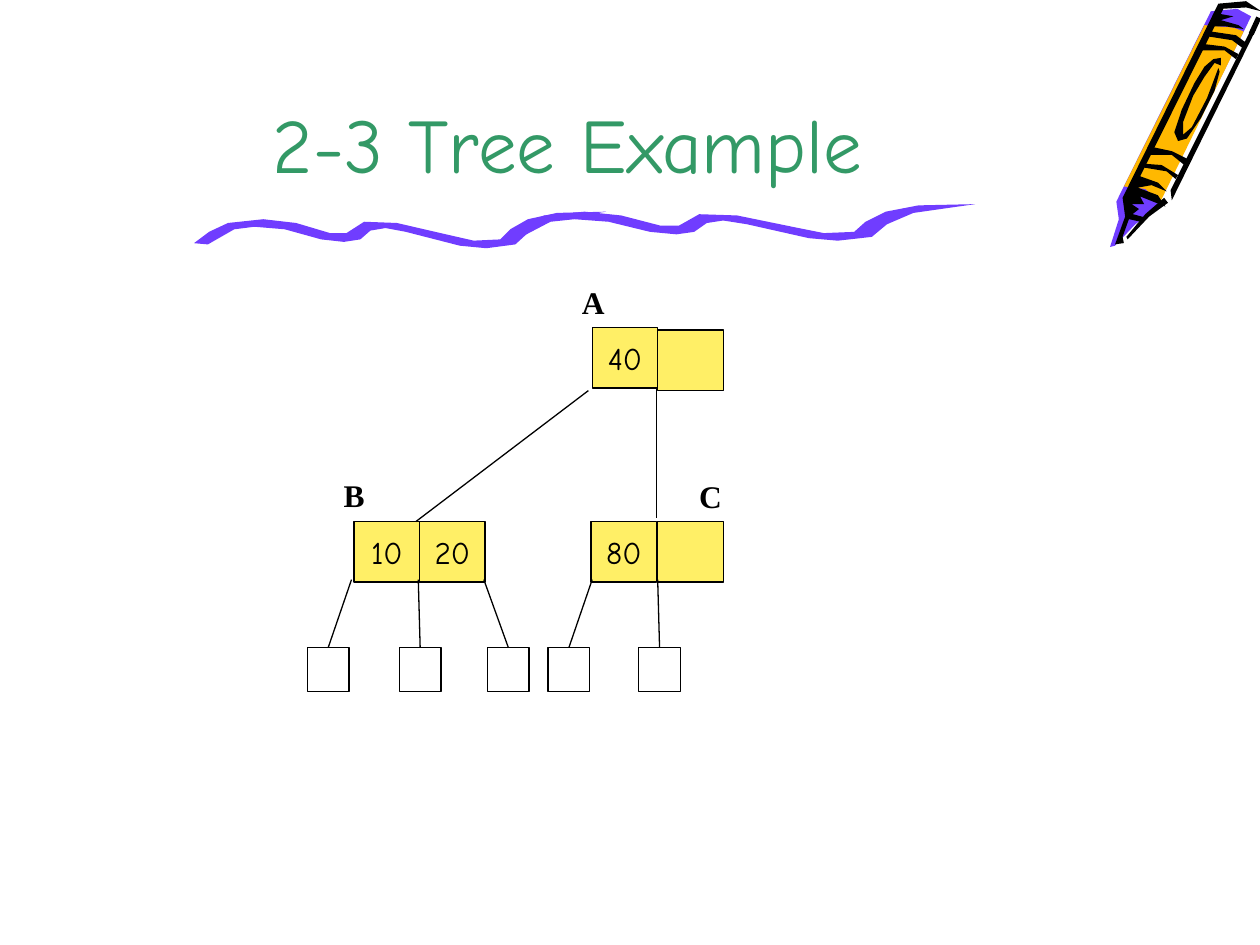
from lxml.etree import SubElement
from pptx import Presentation
from pptx.dml.color import RGBColor
from pptx.enum.shapes import MSO_CONNECTOR, MSO_SHAPE
from pptx.enum.text import MSO_ANCHOR, PP_ALIGN
from pptx.oxml.ns import qn
from pptx.util import Pt

PX = 9144  # EMU per px, 100 px to the inch
PURPLE, ORANGE, BLACK = "703DFF", "FFB800", "000000"
GREEN, YELLOW = "339966", "FFEF66"
SANS, SERIF = "Comic Neue", "Times New Roman"

TITLE = "2-3 Tree Example"
CELL_W, CELL_H = 52, 48
LEAF_W, LEAF_H, LEAF_TOP = 33, 35, 514

# Key cells: left, top, key
CELLS = [(470, 260, "40"), (522, 262, ""),
         (281, 414, "10"), (333, 414, "20"),
         (469, 414, "80"), (522, 414, "")]
# Node labels: left, top, name
LABELS = [(452, 220, "A"), (263, 373, "B"), (545, 374, "C")]
# Branches between nodes: start, end
BRANCHES = [((467, 310), (330, 414)), ((521, 308), (521, 411))]
# Leaves: left edge, x where the branch leaves the node above
LEAVES = [(244, 279), (317, 332), (387, 384), (435, 470), (507, 522)]
BRANCH_TOP = 460

# Crayon: colour, outline
CRAYON = [
    (PURPLE, [(993, 13), (917, 166), (901, 178), (885, 195), (881, 196),
              (888, 174), (886, 160), (961, 9), (982, 7)]),
    (ORANGE, [(921, 160), (909, 150), (892, 148), (956, 20), (979, 22), (987, 25)]),
    (BLACK, [(927, 161), (912, 172), (895, 190), (894, 188), (909, 170), (924, 157)]),
    (BLACK, [(987, 23), (973, 21), (961, 21), (968, 11), (979, 13), (969, 16),
             (983, 20)]),
    (BLACK, [(968, 57), (964, 72), (953, 94), (942, 110), (935, 112), (932, 105),
             (938, 87), (948, 66), (956, 53), (963, 47), (969, 46), (969, 52),
             (964, 50), (956, 61), (947, 76), (939, 97), (939, 107), (946, 101),
             (958, 78), (967, 54)]),
    (BLACK, [(997, 23), (930, 159), (929, 151), (993, 23)]),
    (BLACK, [(925, 164), (919, 155), (903, 149), (914, 147), (926, 152), (919, 145),
             (905, 140), (971, 7), (989, 6), (1001, 9), (989, 1), (967, 3),
             (891, 157), (893, 172), (885, 194), (892, 193), (891, 188), (896, 174),
             (905, 176), (910, 173), (899, 170), (904, 166), (898, 162), (908, 162),
             (905, 156)]),
    (BLACK, [(933, 142), (926, 136), (908, 133), (909, 130), (922, 131), (935, 139)]),
    (BLACK, [(940, 131), (930, 123), (913, 123), (916, 117), (930, 120), (942, 126)]),
    (BLACK, [(981, 47), (972, 40), (953, 40), (956, 35), (972, 37), (983, 43)]),
    (BLACK, [(986, 38), (978, 32), (959, 29), (961, 25), (981, 28), (989, 34)]),
]
CRAYON_EDGE = ((999, 14), (993, 27))

# Wavy stroke, drawn twice: left, top and stretch of each
WAVE = [(11, 26), (32, 14), (48, 12), (72, 14), (101, 22), (119, 24), (132, 22),
        (140, 15), (152, 13), (168, 16), (211, 27), (232, 29), (255, 26), (266, 16),
        (284, 7), (327, 0), (288, 1), (265, 6), (251, 14), (243, 22), (222, 23),
        (200, 18), (161, 9), (135, 8), (121, 17), (108, 17), (81, 9), (55, 6),
        (27, 9), (12, 16), (0, 25)]
WAVES = [(154, 168, 1), (401, 162, 1.14)]


def colour(value):
    return RGBColor.from_string(value)


def px(*lengths):
    return [round(length * PX) for length in lengths]


def add_outline(shapes, points, fill):
    builder = shapes.build_freeform(*points[0], scale=PX)
    builder.add_line_segments(points[1:], close=True)
    shape = builder.convert_to_shape()
    shape.shadow.inherit = False
    shape.fill.solid()
    shape.fill.fore_color.rgb = colour(fill)
    shape.line.fill.background()


def add_line(shapes, start, end, width=0.75):
    line = shapes.add_connector(MSO_CONNECTOR.STRAIGHT, *px(*start, *end))
    line.line.color.rgb = colour(BLACK)
    line.line.width = Pt(width)
    SubElement(line._element.spPr, qn("a:effectLst"))
    return line


def add_rect(shapes, left, top, width, height, fill=None):
    rect = shapes.add_shape(MSO_SHAPE.RECTANGLE, *px(left, top, width, height))
    rect.shadow.inherit = False
    if fill:
        rect.fill.solid()
        rect.fill.fore_color.rgb = colour(fill)
    else:
        rect.fill.background()
    rect.line.color.rgb = colour(BLACK)
    rect.line.width = Pt(0.75)
    return rect


def write(frame, text, font, size, ink, align=PP_ALIGN.LEFT, bold=False):
    frame.text = text
    para = frame.paragraphs[0]
    para.alignment = align
    para.font.name = font
    para.font.size = Pt(size)
    para.font.bold = bold
    para.font.color.rgb = colour(ink)


def main():
    deck = Presentation()
    deck.slide_width, deck.slide_height = px(1000, 750)
    page = deck.slides.add_slide(deck.slide_layouts[5])
    shapes = page.shapes

    # Decoration
    crayon = shapes.add_group_shape().shapes
    for fill, points in CRAYON:
        add_outline(crayon, points, fill)
    add_line(crayon, *CRAYON_EDGE, width=3)
    for left, top, stretch in WAVES:
        add_outline(shapes, [(left + x * stretch, top + y) for x, y in WAVE], PURPLE)

    # Title
    title = shapes.title
    title.left, title.top, title.width, title.height = px(75, 0, 751, 155)
    title.text_frame.vertical_anchor = MSO_ANCHOR.BOTTOM
    write(title.text_frame, TITLE, SANS, 44, GREEN, PP_ALIGN.CENTER)

    # Nodes and the branches between them
    for left, top, key in CELLS:
        cell = add_rect(shapes, left, top, CELL_W, CELL_H, YELLOW)
        if key:
            cell.text_frame.word_wrap = False
            cell.text_frame.vertical_anchor = MSO_ANCHOR.MIDDLE
            write(cell.text_frame, key, SANS, 18, BLACK, PP_ALIGN.CENTER)
    for start, end in BRANCHES:
        add_line(shapes, start, end)

    # Leaves, each joined at the middle of its top side
    for left, branch_x in LEAVES:
        leaf = add_rect(shapes, left, LEAF_TOP, LEAF_W, LEAF_H)
        branch = add_line(shapes, (branch_x, BRANCH_TOP), (left, LEAF_TOP))
        branch.end_connect(leaf, 0)

    # Node labels
    for left, top, name in LABELS:
        box = shapes.add_textbox(*px(left, top, 43, 40))
        box.text_frame.word_wrap = True
        write(box.text_frame, name, SERIF, 18, BLACK, bold=True)

    deck.save("out.pptx")


if __name__ == "__main__":
    main()
